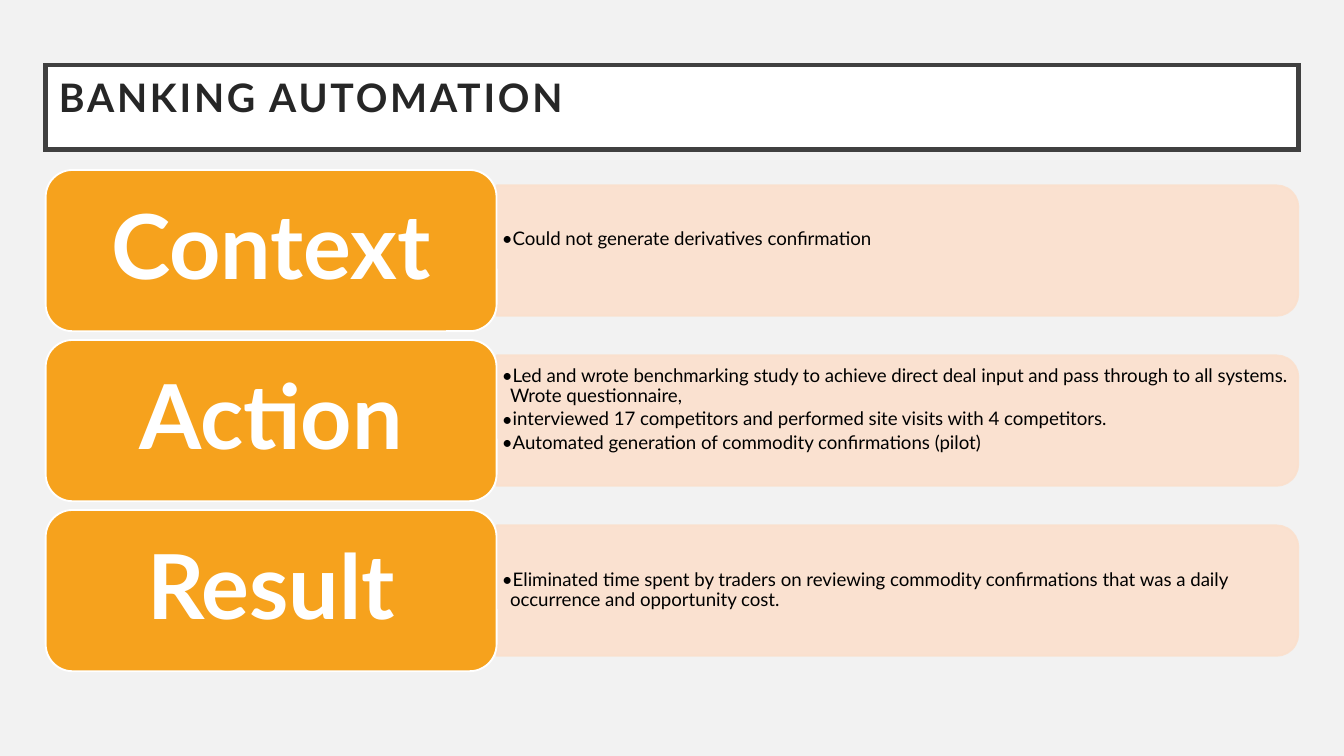
from lxml import etree
from pptx import Presentation
from pptx.dml.color import RGBColor
from pptx.enum.shapes import MSO_SHAPE
from pptx.enum.text import MSO_ANCHOR, PP_ALIGN
from pptx.oxml.ns import qn
from pptx.util import Inches, Pt

RECT, ROUND = MSO_SHAPE.RECTANGLE, MSO_SHAPE.ROUNDED_RECTANGLE
ROUND_END = MSO_SHAPE.ROUND_2_SAME_RECTANGLE
TOP, MIDDLE = MSO_ANCHOR.TOP, MSO_ANCHOR.MIDDLE
LEFT, CENTER = PP_ALIGN.LEFT, PP_ALIGN.CENTER

prs = Presentation()
prs.slide_width = Inches(10)
prs.slide_height = prs.slide_width * 9 // 16
s = prs.slides.add_slide(prs.slide_layouts[6])
s.background.fill.solid()
s.background.fill.fore_color.rgb = RGBColor.from_string("F2F2F2")


def add_box(kind, x, y, w, h, fill, line, weight=1):
    sp = s.shapes.add_shape(kind, Inches(x), Inches(y), Inches(w), Inches(h))
    sp.shadow.inherit = False
    sp.fill.solid()
    sp.fill.fore_color.rgb = RGBColor.from_string(fill)
    sp.line.color.rgb = RGBColor.from_string(line)
    sp.line.width = Pt(weight)
    return sp


def add_text(sp, lines, size, color, bold=False, align=LEFT, anchor=MIDDLE,
             insets=(0.1, 0.1, 0.1, 0.1), after=0, bullet=False, spacing=0):
    tf = sp.text_frame
    tf.word_wrap = True
    tf.vertical_anchor = anchor
    (tf.margin_left, tf.margin_top,
     tf.margin_right, tf.margin_bottom) = map(Inches, insets)
    for i, line in enumerate(lines):
        p = tf.paragraphs[0] if i == 0 else tf.add_paragraph()
        p.alignment, p.line_spacing, p.space_after = align, 0.9, Pt(after)
        r = p.add_run()
        r.text = line
        r.font.name, r.font.size, r.font.bold = "Lato", Pt(size), bold
        r.font.color.rgb = RGBColor.from_string(color)
        if spacing:
            r.font._element.set("spc", str(int(spacing * 100)))
        if bullet:
            pPr = p._p.get_or_add_pPr()
            pPr.set("marL", str(Inches(0.06)))
            pPr.set("indent", str(-Inches(0.06)))
            etree.SubElement(pPr, qn("a:buFont")).set("typeface", "Lato")
            etree.SubElement(pPr, qn("a:buChar")).set("char", "•")
            end = etree.SubElement(p._p, qn("a:endParaRPr"))
            end.set("sz", str(size * 100))


# Title bar with square corners
left, width = 0.34, 9.32
title = add_box(RECT, left, 0.485, width, 0.63, "FFFFFF", "404040", 2.5)
etree.SubElement(title.line._get_or_add_ln(), qn("a:miter")).set("lim", "800000")
add_text(title, ["BANKING AUTOMATION"], 21, "262626", bold=True, anchor=TOP,
         spacing=1.5)

# Rows: label, bullets, bottom inset that lifts the text above the middle
rows = [
    ("Context", ["Could not generate derivatives confirmation"], 0.18),
    ("Action", [
        "Led and wrote benchmarking study to achieve direct deal input and "
        "pass through to all systems. Wrote questionnaire, ",
        "interviewed 17 competitors and performed site visits with 4 competitors.",
        "Automated generation of commodity confirmations (pilot)"], 0.18),
    ("Result", [
        "Eliminated time spent by traders on reviewing commodity confirmations "
        "that was a daily occurrence and opportunity cost."], 0.02),
]
row_top, row_h, pitch = 1.265, 1.2, 1.265
label_w, panel_h = 3.355, 0.97
panel_x, panel_w = left + label_w, width - label_w

for i, (label, bullets, bottom) in enumerate(rows):
    y = row_top + i * pitch
    mid = y + row_h / 2

    # Panel, turned so that its rounded end points right
    panel = add_box(ROUND_END, panel_x + (panel_w - panel_h) / 2,
                    mid - panel_w / 2, panel_h, panel_w, "FBE0CD", "FBE0CD")
    panel.rotation = 90
    for clr in panel._element.spPr.iter(qn("a:srgbClr")):
        etree.SubElement(clr, qn("a:alpha")).set("val", "90000")

    # Bullets
    tb = s.shapes.add_textbox(Inches(panel_x), Inches(mid - 0.435),
                              Inches(5.92), Inches(0.87))
    add_text(tb, bullets, 10, "000000", insets=(0.04, 0.02, 0.04, bottom),
             after=1.5, bullet=True)

    # Label
    card = add_box(ROUND, left, y, label_w, row_h, "F6A21D", "FFFFFF")
    add_text(card, [label], 48, "FFFFFF", bold=True, align=CENTER)

prs.save("out.pptx")
